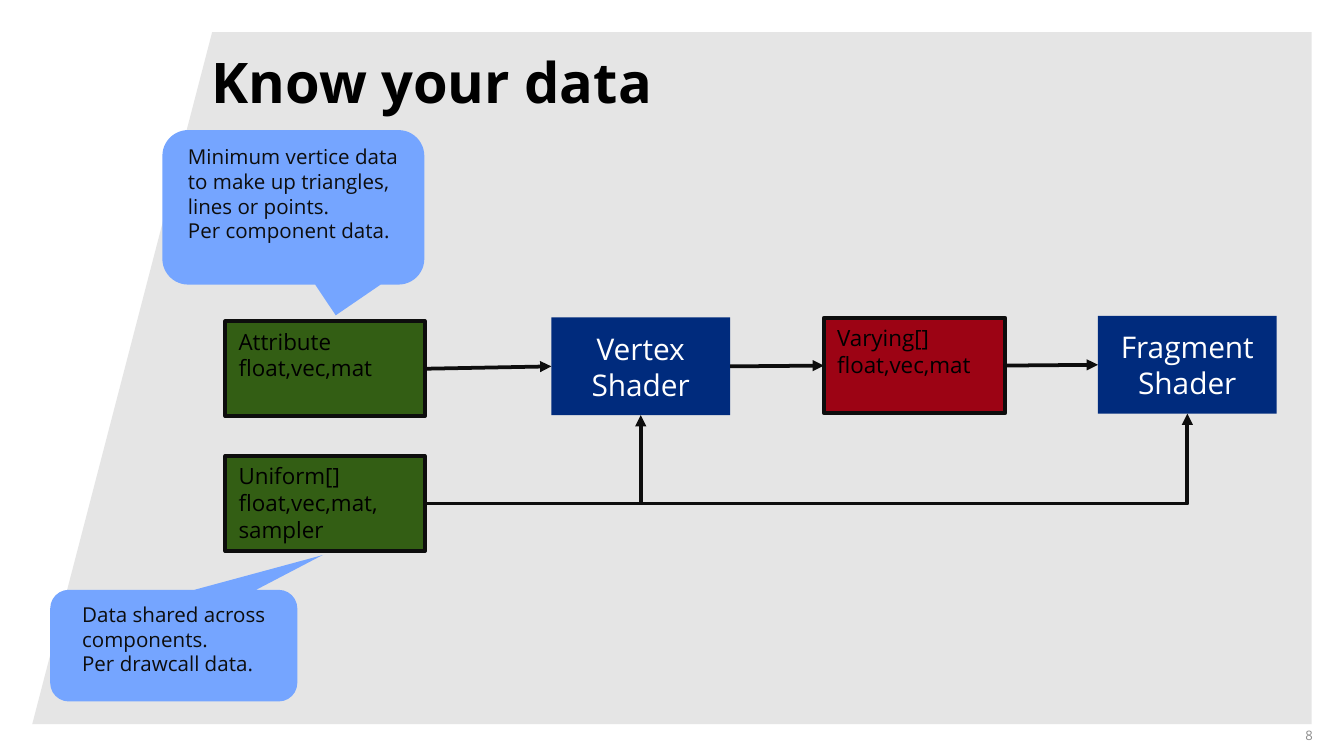
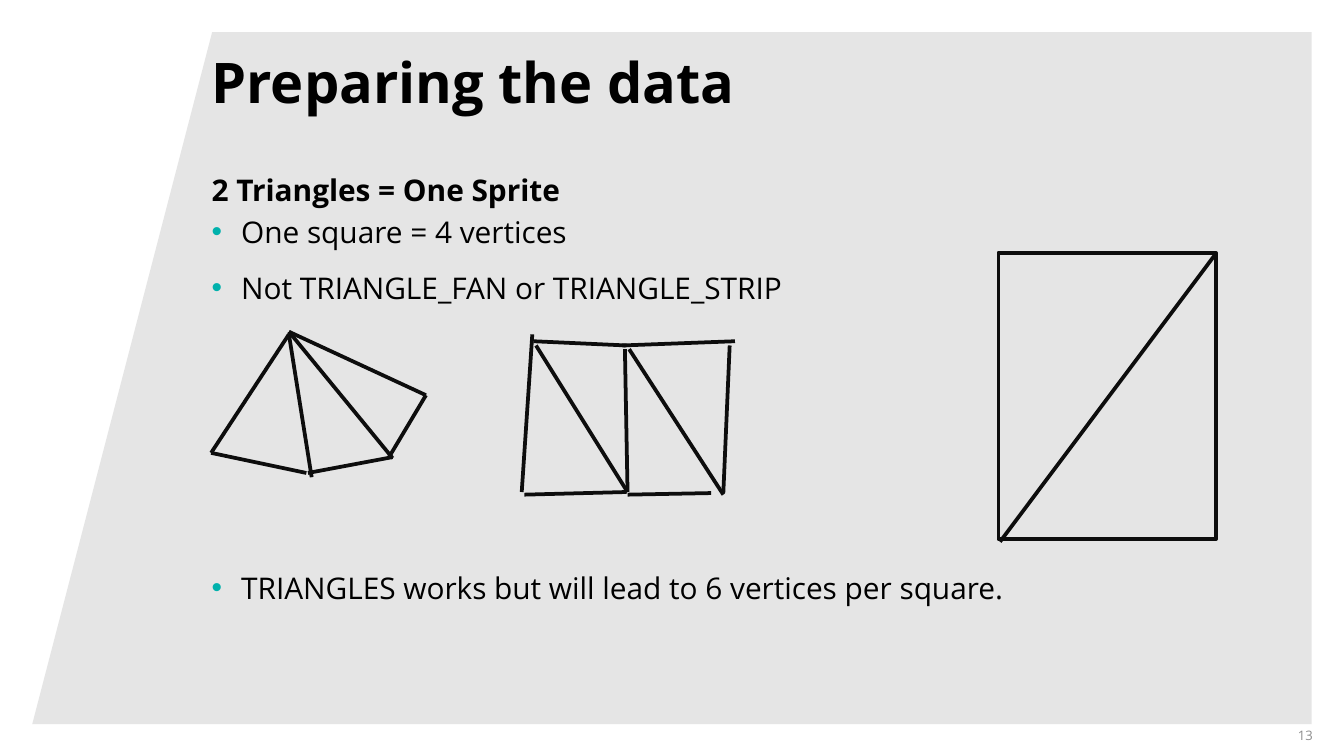
from lxml.etree import SubElement
from pptx import Presentation
from pptx.dml.color import RGBColor
from pptx.enum.shapes import MSO_CONNECTOR, MSO_SHAPE
from pptx.enum.text import MSO_ANCHOR, PP_ALIGN
from pptx.oxml.ns import qn
from pptx.util import Cm, Pt

FONT = "Open Sans"
BLACK = RGBColor(0x00, 0x00, 0x00)
WHITE = RGBColor(0xFF, 0xFF, 0xFF)
INK = RGBColor(0x0D, 0x0D, 0x0D)
PANEL_GREY = RGBColor(0xE5, 0xE5, 0xE5)
NUMBER_GREY = RGBColor(0x8C, 0x8C, 0x8C)
NAVY = RGBColor(0x00, 0x2B, 0x7D)
GREEN = RGBColor(0x33, 0x5E, 0x14)
RED = RGBColor(0x9C, 0x03, 0x14)
SKY = RGBColor(0x75, 0xA5, 0xFF)
TEAL = RGBColor(0x00, 0xB1, 0xAC)

# All places are in centimetres: left, top, width, height or x, y.
PANEL = [(0.61, 13.69), (4.01, 0.61), (24.79, 0.61), (24.79, 13.69)]
TITLE_PLACE = (4, 1.14, 20.12, 1.5)
NUMBER_PLACE = (23.57, 13.51, 1.24, 0.76)
TOP, LEFT, BOTTOM, RIGHT = range(4)  # connection sites of a rectangle

# A vertical tab is a line break, a newline starts a paragraph.
DATA_BOXES = {
    "attribute": ("Attribute\nfloat,vec,mat", (4.26, 6.07, 3.77, 1.8), GREEN),
    "uniform": ("Uniform[]\vfloat,vec,mat,\vsampler", (4.26, 8.62, 3.77, 1.8), GREEN),
    "varying": ("Varying[]\vfloat,vec,mat", (15.57, 6.01, 3.43, 1.8), RED),
}
SHADER_BOXES = {
    "vertex": ("Vertex\vShader", (10.42, 6, 3.38, 1.85)),
    "fragment": ("Fragment\vShader", (20.75, 5.97, 3.38, 1.85)),
}
FLOWS = [
    ("attribute", "vertex", LEFT),
    ("vertex", "varying", LEFT),
    ("varying", "fragment", LEFT),
    ("uniform", "vertex", BOTTOM),
    ("uniform", "fragment", BOTTOM),
]
# Text, place, pointer tip, left inset
CALLOUTS = [
    ("Minimum vertice data to make up triangles, lines or points.\vPer component data.",
     (3.07, 2.46, 4.95, 2.92), (0.162, 0.699), 0.34),
    ("Data shared across components.\vPer drawcall data.",
     (0.95, 11.15, 4.67, 2.11), (0.602, -0.811), 0.5),
]

HEADING = ("2 Triangles = One Sprite", (4, 3.2, 20.12, 0.61))
BULLETS_PLACE = (4, 3.99, 20.1, 9.09)
# Text, space before in points
BULLETS = [
    ("One square = 4 vertices", 0),
    ("Not TRIANGLE_FAN or TRIANGLE_STRIP", 9.2),
    ("TRIANGLES works but will lead to 6 vertices per square.", 140),
]
SQUARE = (18.87, 4.78, 4.11, 5.41)
DIAGONAL = [(18.9, 10.24, 22.99, 4.78)]
FAN = [
    (5.46, 6.32, 3.99, 8.56), (5.46, 6.32, 5.89, 9.02),
    (5.46, 6.27, 7.42, 8.66), (5.46, 6.27, 8.05, 7.47),
    (3.99, 8.56, 5.79, 8.94), (5.82, 8.94, 7.42, 8.64),
    (7.34, 8.66, 8.05, 7.47),
]
STRIP = [
    (11.81, 6.6, 11.86, 9.3), (11.76, 6.53, 13.89, 6.45),
    (10.06, 6.32, 9.86, 9.3), (9.91, 9.35, 11.84, 9.3),
    (11.86, 9.3, 10.13, 6.53), (10.08, 6.45, 11.84, 6.53),
    (11.86, 9.35, 13.44, 9.32), (13.67, 9.35, 11.89, 6.6),
    (13.79, 6.53, 13.67, 9.32),
]


def lengths(numbers):
    """Turn centimetre numbers into lengths."""
    return [Cm(number) for number in numbers]


def write(shape, text, size, color, bold=False, align=PP_ALIGN.LEFT,
          anchor=MSO_ANCHOR.TOP, spacing=None):
    """Put formatted, wrapped text into a shape and return its frame."""
    frame = shape.text_frame
    frame.text = text
    frame.word_wrap = True
    frame.vertical_anchor = anchor
    for para in frame.paragraphs:
        para.alignment = align
        para.line_spacing = spacing
        for span in para.runs:
            span.font.name = FONT
            span.font.size = Pt(size)
            span.font.bold = bold
            span.font.color.rgb = color
    return frame


def add_text(page, text, place, *style, **options):
    """Add a text box without insets."""
    box = page.shapes.add_textbox(*lengths(place))
    frame = write(box, text, *style, **options)
    frame.margin_left = frame.margin_top = frame.margin_right = frame.margin_bottom = 0
    return frame


def paint(shape, fill=None, outlined=False):
    """Set the fill and outline of a shape and drop its shadow."""
    shape.shadow.inherit = False
    if fill is None:
        shape.fill.background()
    else:
        shape.fill.solid()
        shape.fill.fore_color.rgb = fill
    if outlined:
        shape.line.color.rgb = INK
        shape.line.width = Pt(2)
    else:
        shape.line.fill.background()


def add_shape(shapes, kind, place, fill=None, outlined=False):
    """Add a painted preset shape."""
    shape = shapes.add_shape(kind, *lengths(place))
    paint(shape, fill, outlined)
    return shape


def add_line(shapes, ends, kind=MSO_CONNECTOR.STRAIGHT):
    """Add a dark line without a shadow."""
    line = shapes.add_connector(kind, *ends)
    line.line.color.rgb = INK
    line.line.width = Pt(2)
    SubElement(line._element.spPr, qn("a:effectLst"))
    return line


def add_flow(page, source, target, site):
    """Join two boxes by an arrow, bent once if it enters from below."""
    start = (source.left + source.width, source.top + source.height // 2)
    if site == BOTTOM:
        end = (target.left + target.width // 2, target.top + target.height)
        kind = MSO_CONNECTOR.ELBOW
    else:
        end = (target.left, target.top + target.height // 2)
        kind = MSO_CONNECTOR.STRAIGHT
    arrow = add_line(page.shapes, start + end, kind)
    if site == BOTTOM:
        arrow._element.spPr.find(qn("a:prstGeom")).set("prst", "bentConnector2")
    arrow.begin_connect(source, RIGHT)
    arrow.end_connect(target, site)
    SubElement(arrow.line._get_or_add_ln(), qn("a:tailEnd"), type="triangle")


def add_sketch(page, lines, square=None):
    """Add a group of lines, with an optional rectangle behind them."""
    shapes = page.shapes.add_group_shape().shapes
    if square:
        add_shape(shapes, MSO_SHAPE.FLOWCHART_PROCESS, square, outlined=True)
    for ends in lines:
        add_line(shapes, lengths(ends))


def add_bullet(para):
    """Give a paragraph a teal bullet with a hanging indent."""
    properties = para._p.get_or_add_pPr()
    properties.set("marL", str(Cm(0.56)))
    properties.set("indent", str(-Cm(0.56)))
    color = SubElement(properties, qn("a:buClr"))
    SubElement(color, qn("a:srgbClr"), val=str(TEAL))
    SubElement(properties, qn("a:buFont"), typeface="Arial")
    SubElement(properties, qn("a:buChar"), char="•")


def add_page(deck, title, number):
    """Add a page with the slanted panel, title and page number."""
    page = deck.slides.add_slide(deck.slide_layouts[6])
    corners = [lengths(corner) for corner in PANEL]
    outline = page.shapes.build_freeform(*corners[0])
    outline.add_line_segments(corners[1:], close=True)
    paint(outline.convert_to_shape(), PANEL_GREY)
    add_text(page, title, TITLE_PLACE, 30, BLACK, bold=True, spacing=0.8)
    add_text(page, number, NUMBER_PLACE, 7, NUMBER_GREY,
             align=PP_ALIGN.RIGHT, anchor=MSO_ANCHOR.MIDDLE)
    return page


def build_flow_page(deck):
    """Show how data runs through the shaders."""
    page = add_page(deck, "Know your data", "8")
    boxes = {}
    for name, (text, place, fill) in DATA_BOXES.items():
        boxes[name] = add_shape(page.shapes, MSO_SHAPE.RECTANGLE, place, fill, True)
        write(boxes[name], text, 12, BLACK)
    for name, (text, place) in SHADER_BOXES.items():
        boxes[name] = add_shape(page.shapes, MSO_SHAPE.RECTANGLE, place, NAVY)
        write(boxes[name], text, 16, WHITE, align=PP_ALIGN.CENTER,
              anchor=MSO_ANCHOR.MIDDLE)
    for source, target, site in FLOWS:
        add_flow(page, boxes[source], boxes[target], site)
    for text, place, tip, inset in CALLOUTS:
        callout = add_shape(page.shapes, MSO_SHAPE.ROUNDED_RECTANGULAR_CALLOUT, place, SKY)
        callout.adjustments[0], callout.adjustments[1] = tip
        write(callout, text, 11, INK).margin_left = Cm(inset)


def build_triangles_page(deck):
    """Compare ways to draw a square out of triangles."""
    page = add_page(deck, "Preparing the data", "13")
    add_text(page, *HEADING, 16, BLACK, bold=True, spacing=1.08)
    text = "\n".join(line for line, _ in BULLETS)
    frame = add_text(page, text, BULLETS_PLACE, 16, BLACK, spacing=1.08)
    for para, (_, gap) in zip(frame.paragraphs, BULLETS):
        para.space_before = Pt(gap)
        add_bullet(para)
    add_sketch(page, DIAGONAL, SQUARE)
    add_sketch(page, FAN)
    add_sketch(page, STRIP)


deck = Presentation()
deck.slide_width, deck.slide_height = Cm(25.4), Cm(14.29)
build_flow_page(deck)
build_triangles_page(deck)
deck.save("out.pptx")
